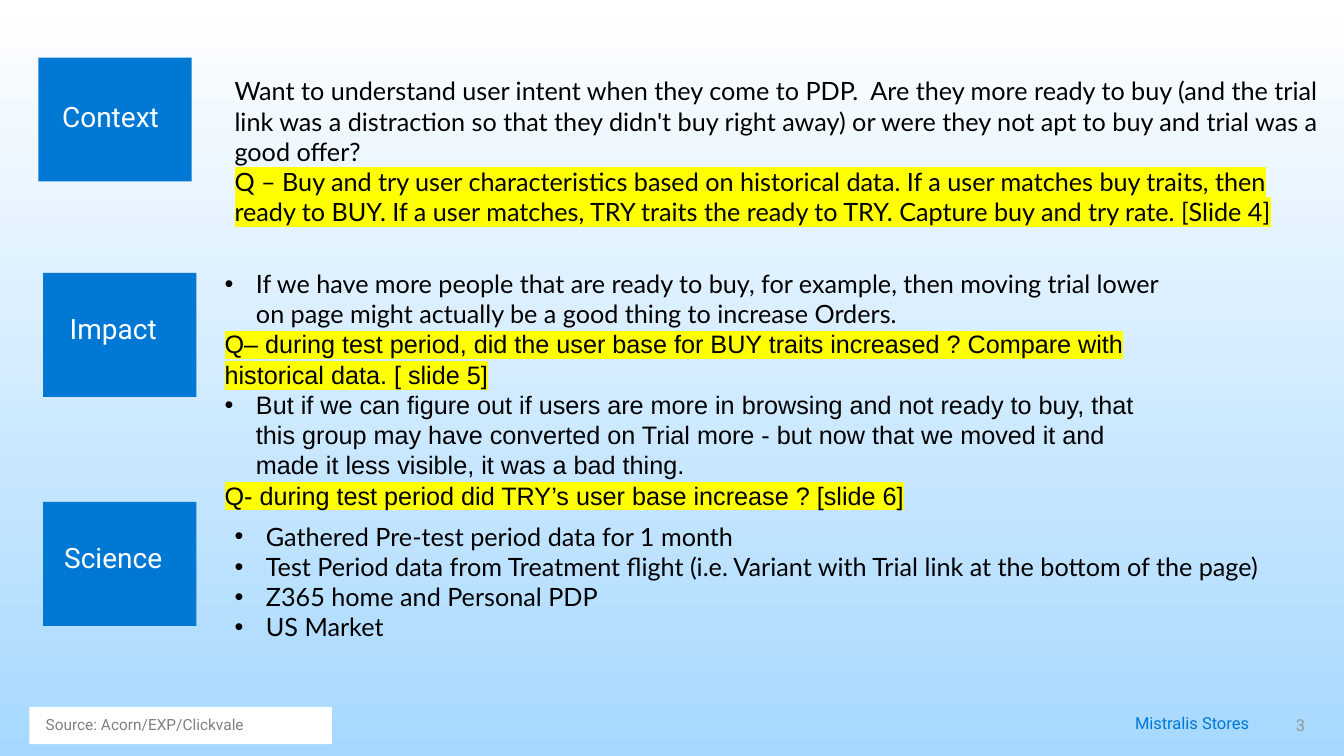
import pptx
import pptx.util
import pptx.dml.color
import pptx.enum.shapes
import pptx.enum.text
import pptx.oxml.ns
import lxml.etree

Cm = pptx.util.Cm
Pt = pptx.util.Pt
RGBColor = pptx.dml.color.RGBColor
ALIGN = pptx.enum.text.PP_ALIGN
ANCHOR = pptx.enum.text.MSO_ANCHOR

BLUE = RGBColor(0x00, 0x78, 0xD4)
BRAND = RGBColor(0x00, 0x78, 0xD7)
SKY = RGBColor(0xA6, 0xD8, 0xFF)
WHITE = RGBColor(0xFF, 0xFF, 0xFF)
BLACK = RGBColor(0x00, 0x00, 0x00)
GRAY = RGBColor(0x80, 0x80, 0x80)
PALE = RGBColor(0x98, 0x98, 0x98)
YELLOW = RGBColor(0xFF, 0xFF, 0x00)

TILE = (3.86, 3.12)
LABEL = (4.09, 1.6)
TOPICS = [
    ("Context", (0.97, 1.45), (0.74, 2.21)),
    ("Impact", (1.09, 6.88), (0.81, 7.57)),
    ("Science", (1.09, 12.65), (0.81, 13.34)),
]

BODIES = [
    ((5.66, 1.78, 27.86, 6.4), (0.25, 0.13), [
        ("plain", "Lato", "Want to understand user intent when they come to PDP.  Are they more ready to buy (and the trial link was a distraction so that they didn't buy right away) or were they not apt to buy and trial was a good offer?"),
        ("mark", "Lato", "Q – Buy and try user characteristics based on historical data. If a user matches buy traits, then ready to BUY. If a user matches, TRY traits the ready to TRY. Capture buy and try rate. [Slide 4]"),
    ]),
    ((5.66, 6.76, 23.85, 6.15), (0, 0), [
        ("bullet", "Lato", "If we have more people that are ready to buy, for example, then moving trial lower on page might actually be a good thing to increase Orders."),
        ("mark", "Arial", "Q– during test period, did the user base for BUY traits increased ? Compare with historical data. [ slide 5]"),
        ("bullet", "Arial", "But if we can figure out if users are more in browsing and not ready to buy, that this group may have converted on Trial more - but now that we moved it and made it less visible, it was a bad thing."),
        ("mark", "Arial", "Q- during test period did TRY’s user base increase ? [slide 6]"),
    ]),
    ((5.66, 13, 26.92, 3.33), (0.25, 0.13), [
        ("bullet", "Lato", "Gathered Pre-test period data for 1 month"),
        ("bullet", "Lato", "Test Period data from Treatment flight (i.e. Variant with Trial link at the bottom of the page)"),
        ("bullet", "Lato", "Z365 home and Personal PDP"),
        ("bullet", "Lato", "US Market"),
    ]),
]

SOURCE = ("Source: Acorn/EXP/Clickvale", (0.74, 17.81, 7.62, 0.94))
FOOTER = ("Mistralis Stores", (22.68, 18.03, 8.79, 0.46))
NUMBER = ("3", (31.45, 17.75, 1.68, 1.02))

TIGHT = {"line_spacing": 0.9}
HEAD = {"alignment": ALIGN.CENTER, "line_spacing": 0.9, "space_after": Pt(6.1)}
RIGHT = {"alignment": ALIGN.RIGHT}
FOOT = {"alignment": ALIGN.RIGHT, "line_spacing": 0.9, "space_after": Pt(5.9)}


def apply(item, style):
    for name, value in style.items():
        setattr(item, name, value)


def node(tag, **attrs):
    return lxml.etree.Element(pptx.oxml.ns.qn(tag), attrs)


def setup(shape, inset, anchor=ANCHOR.TOP):
    x, y = map(Cm, inset)
    frame = shape.text_frame
    apply(frame, {"word_wrap": True, "vertical_anchor": anchor,
                  "margin_left": x, "margin_right": x,
                  "margin_top": y, "margin_bottom": y})
    return frame


def write(para, text, face, size, color, style):
    apply(para, style)
    run = para.add_run()
    run.text = text
    apply(run.font, {"size": Pt(size), "name": face})
    run.font.color.rgb = color
    return run


def mark(run):
    light = node("a:highlight")
    light.append(node("a:srgbClr", val=str(YELLOW)))
    run.font._element.find(pptx.oxml.ns.qn("a:latin")).addprevious(light)


def bullet(para):
    props = para._p.get_or_add_pPr()
    props.set("marL", str(Cm(0.79)))
    props.set("indent", str(-Cm(0.79)))
    props.append(node("a:buFont", typeface="Arial"))
    props.append(node("a:buChar", char="•"))


def block(slide, box, color):
    kind = pptx.enum.shapes.MSO_SHAPE.RECTANGLE
    shape = slide.shapes.add_shape(kind, *map(Cm, box))
    shape.shadow.inherit = False
    shape.fill.solid()
    shape.fill.fore_color.rgb = color
    shape.line.fill.background()
    return shape


def textbox(slide, box):
    return slide.shapes.add_textbox(*map(Cm, box))


def main():
    deck = pptx.Presentation()
    apply(deck, {"slide_width": Cm(33.86), "slide_height": Cm(19.05)})
    slide = deck.slides.add_slide(deck.slide_layouts[6])

    back = slide.background.fill
    back.gradient()
    back.gradient_angle = 270
    for stop, color in zip(back.gradient_stops, (WHITE, SKY)):
        stop.color.rgb = color

    for text, tile, spot in TOPICS:
        block(slide, tile + TILE, BLUE)
        frame = setup(textbox(slide, spot + LABEL), (0.51, 0.41))
        write(frame.paragraphs[0], text, "Roboto", 20, WHITE, HEAD)

    for box, inset, lines in BODIES:
        frame = setup(textbox(slide, box), inset)
        for i, (kind, face, text) in enumerate(lines):
            para = frame.add_paragraph() if i else frame.paragraphs[0]
            run = write(para, text, face, 18, BLACK, {})
            if kind == "mark":
                mark(run)
            elif kind == "bullet":
                bullet(para)

    text, box = SOURCE
    frame = setup(block(slide, box, WHITE), (0.41, 0.25), ANCHOR.MIDDLE)
    style = {"alignment": ALIGN.LEFT, **TIGHT}
    write(frame.paragraphs[0], text, "Roboto", 11, GRAY, style)

    text, box = FOOTER
    frame = setup(textbox(slide, box), (0, 0))
    write(frame.paragraphs[0], text, "Roboto", 11.8, BRAND, FOOT)

    text, box = NUMBER
    frame = setup(textbox(slide, box), (0.25, 0.13), ANCHOR.MIDDLE)
    write(frame.paragraphs[0], text, "Roboto", 11.8, PALE, RIGHT)

    deck.save("out.pptx")


if __name__ == "__main__":
    main()
